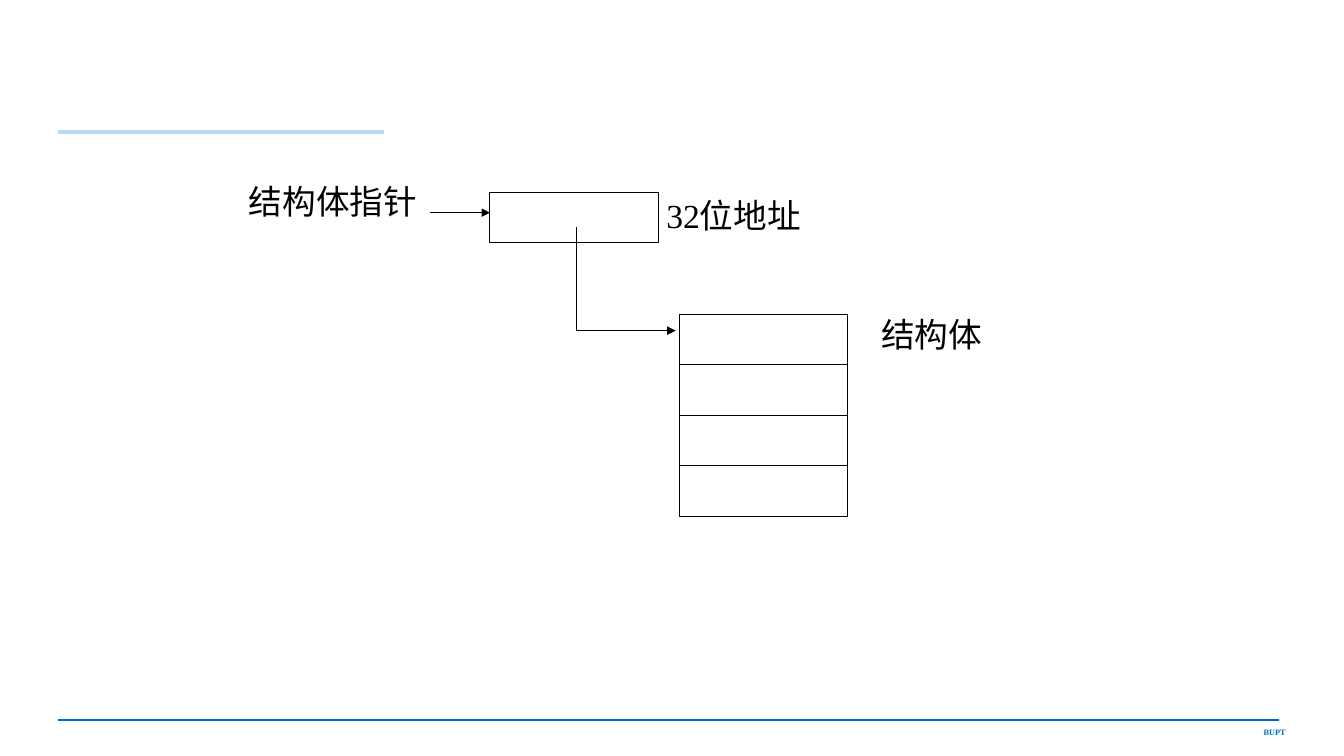
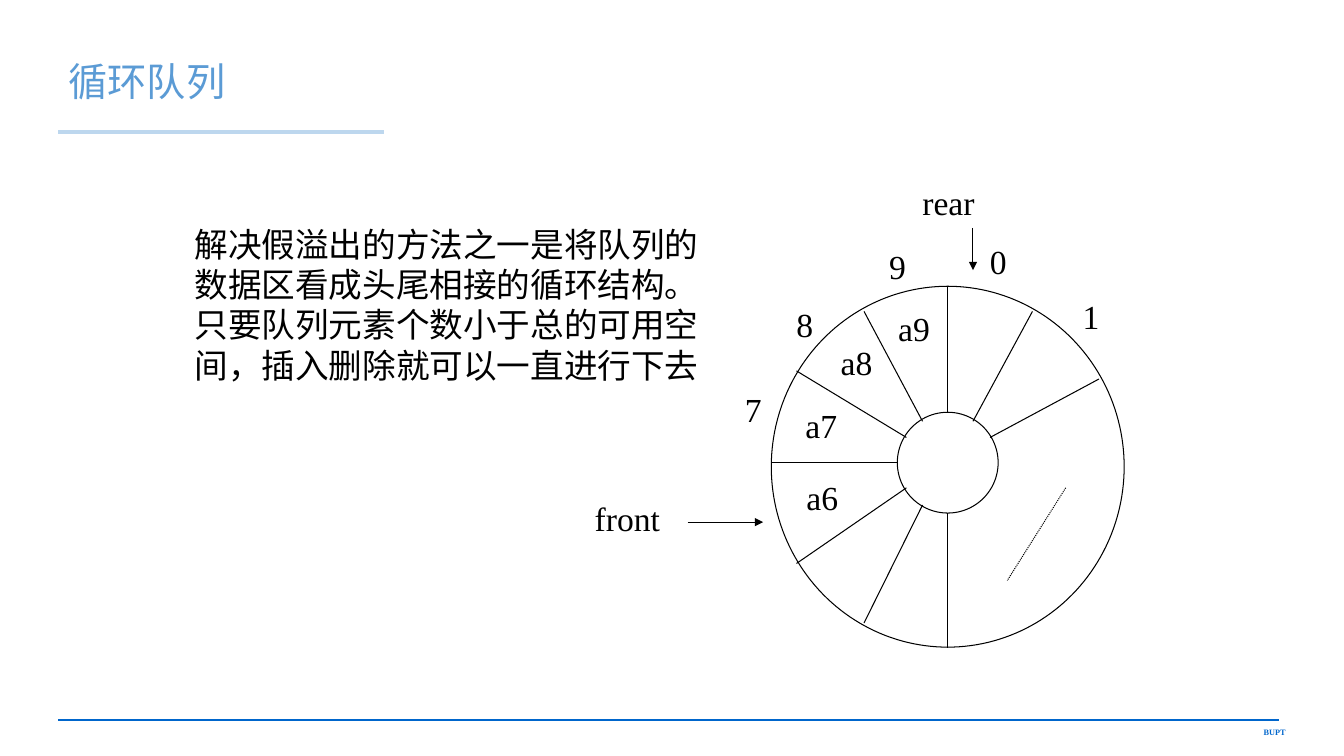
from dataclasses import dataclass

from lxml import etree
from pptx import Presentation
from pptx.dml.color import RGBColor
from pptx.enum.dml import MSO_LINE
from pptx.enum.shapes import MSO_CONNECTOR, MSO_SHAPE
from pptx.enum.text import MSO_ANCHOR, PP_ALIGN
from pptx.oxml.ns import qn
from pptx.util import Emu, Pt

PX = 9144  # 100 px to the inch
STRAIGHT = MSO_CONNECTOR.STRAIGHT
RECT, OVAL = MSO_SHAPE.RECTANGLE, MSO_SHAPE.OVAL
DOTTED = MSO_LINE.ROUND_DOT
LEFT, RIGHT = PP_ALIGN.LEFT, PP_ALIGN.RIGHT
MIDDLE = MSO_ANCHOR.MIDDLE

BLACK, BLUE, PALE_BLUE, TITLE_BLUE = "000000", "0066CC", "BDD7EE", "5B9BD5"
SERIF, CJK = "Times New Roman", "Noto Sans CJK SC"


@dataclass(frozen=True)
class Style:
    size: float = 24
    font: str = SERIF
    color: str = BLACK
    bold: bool = False
    align: int = LEFT
    spacing: float | Pt | None = None


@dataclass(frozen=True)
class Label:
    text: str
    x: int
    y: int
    w: int
    h: int = 50


@dataclass(frozen=True)
class Line:
    x1: int
    y1: int
    x2: int
    y2: int
    arrow: bool = False
    dotted: bool = False


PLAIN = Style()
TIGHT = Style(spacing=Pt(25))
BODY = Style(font=CJK, spacing=Pt(28.8))
TITLE = Style(28, CJK, TITLE_BLUE, spacing=0.9)
FOOTER = Style(5.9, color=BLUE, bold=True, align=RIGHT)

CELL_W, CELL_H = 167, 50

POINTER_LABELS = [
    Label("结构体指针", 237, 180, 207, 42),
    Label("32位地址", 651, 194, 178, 42),
    Label("结构体", 864, 312, 178, 42),
]
POINTER_LINES = [
    Line(427, 211, 486, 211, arrow=True),
    Line(572, 225, 572, 328),
    Line(572, 328, 670, 328, arrow=True),
]

RING_X, RING_Y = 940, 459
# Inner and outer ends, measured from the centre of the ring
SPOKES = [
    (0, 50, 0, 184), (0, -50, 0, -175), (-50, 0, -175, 0),
    (-25, -41, -83, -150), (-41, -25, -150, -91),
    (-41, 25, -150, 100), (-25, 42, -83, 159),
    (25, -41, 84, -150), (42, -25, 150, -83),
]
RING_LABELS = [
    Label("a6", 790, 468, 52), Label("a7", 789, 397, 52),
    Label("a8", 824, 334, 52), Label("a9", 881, 301, 52),
    Label("0", 972, 234, 37), Label("9", 872, 239, 37),
    Label("8", 780, 297, 37), Label("7", 729, 381, 37),
    Label("1", 1064, 289, 37),
]
QUEUE_LABELS = [Label("front", 580, 489, 85), Label("rear", 905, 176, 72)]
QUEUE_ARROWS = [
    Line(682, 518, 757, 518, arrow=True),
    Line(965, 226, 965, 268, arrow=True),
]
EXPLANATION = [
    "解决假溢出的方法之一是将队列的",
    "数据区看成头尾相接的循环结构。",
    "只要队列元素个数小于总的可用空",
    "间，插入删除就可以一直进行下去",
]


def px(*values: int) -> list[Emu]:
    return [Emu(v * PX) for v in values]


def rgb(code: str) -> RGBColor:
    return RGBColor.from_string(code)


def write(tf, paragraphs: list[str], style: Style) -> None:
    for i, text in enumerate(paragraphs):
        p = tf.add_paragraph() if i else tf.paragraphs[0]
        p.alignment = style.align
        p.line_spacing = style.spacing
        r = p.add_run()
        r.text = text
        font = r.font
        font.size, font.bold, font.name = Pt(style.size), style.bold, style.font
        font.color.rgb = rgb(style.color)
        # East Asian characters take their own typeface
        etree.SubElement(r._r.get_or_add_rPr(), qn("a:ea"), typeface=CJK)


def add_text(shapes, x: int, y: int, w: int, h: int, paragraphs: list[str],
             style: Style = PLAIN) -> None:
    tf = shapes.add_textbox(*px(x, y, w, h)).text_frame
    tf.word_wrap = False
    write(tf, paragraphs, style)


def add_labels(shapes, labels: list[Label], style: Style = PLAIN) -> None:
    for label in labels:
        add_text(shapes, label.x, label.y, label.w, label.h, [label.text], style)


def add_line(shapes, line: Line, color: str = BLACK, width: float = 0.75) -> None:
    c = shapes.add_connector(STRAIGHT, *px(line.x1, line.y1, line.x2, line.y2))
    c.line.color.rgb = rgb(color)
    c.line.width = Pt(width)
    if line.dotted:
        c.line.dash_style = DOTTED
    sp_pr = c.element.spPr
    if line.arrow:
        etree.SubElement(sp_pr.find(qn("a:ln")), qn("a:tailEnd"), type="triangle")
    etree.SubElement(sp_pr, qn("a:effectLst"))


def add_outline(shapes, kind: int, x: int, y: int, w: int, h: int) -> None:
    sp = shapes.add_shape(kind, *px(x, y, w, h))
    sp.shadow.inherit = False
    sp.fill.background()
    sp.line.color.rgb = rgb(BLACK)
    sp.line.width = Pt(0.75)


def add_slide(prs, title: str = ""):
    """Add a slide with the shared rules and footer, and a title if given."""
    slide = prs.slides.add_slide(prs.slide_layouts[5 if title else 6])
    add_line(slide.shapes, Line(58, 714, 1269, 714), BLUE, 1.5)
    add_text(slide.shapes, 1150, 717, 135, 20, ["BUPT"], FOOTER)
    add_line(slide.shapes, Line(58, 131, 381, 131), PALE_BLUE, 3.5)
    if title:
        sp = slide.shapes.title
        sp.left, sp.top, sp.width, sp.height = px(58, 36, 1129, 94)
        sp.text_frame.vertical_anchor = MIDDLE
        write(sp.text_frame, [title], TITLE)
    return slide


def build_pointer_slide(prs) -> None:
    shapes = add_slide(prs).shapes
    add_outline(shapes, RECT, 486, 191, CELL_W, CELL_H)
    for row in range(4):
        add_outline(shapes, RECT, 674, 312 + row * CELL_H, CELL_W, CELL_H)
    for line in POINTER_LINES:
        add_line(shapes, line)
    add_labels(shapes, POINTER_LABELS, TIGHT)


def build_queue_slide(prs) -> None:
    shapes = add_slide(prs, "循环队列").shapes
    ring = shapes.add_group_shape().shapes
    add_outline(ring, OVAL, RING_X - 175, RING_Y - 175, 350, 358)
    add_outline(ring, OVAL, RING_X - 50, RING_Y - 50, 100, 100)
    for x1, y1, x2, y2 in SPOKES:
        add_line(ring, Line(RING_X + x1, RING_Y + y1, RING_X + x2, RING_Y + y2))
    add_line(ring, Line(1057, 484, 999, 576, dotted=True))
    add_labels(ring, RING_LABELS)
    for arrow in QUEUE_ARROWS:
        add_line(shapes, arrow)
    add_labels(shapes, QUEUE_LABELS)
    add_text(shapes, 183, 217, 525, 172, EXPLANATION, BODY)


def main() -> None:
    prs = Presentation()
    prs.slide_width, prs.slide_height = px(1333, 750)
    build_pointer_slide(prs)
    build_queue_slide(prs)
    prs.save("out.pptx")


if __name__ == "__main__":
    main()
